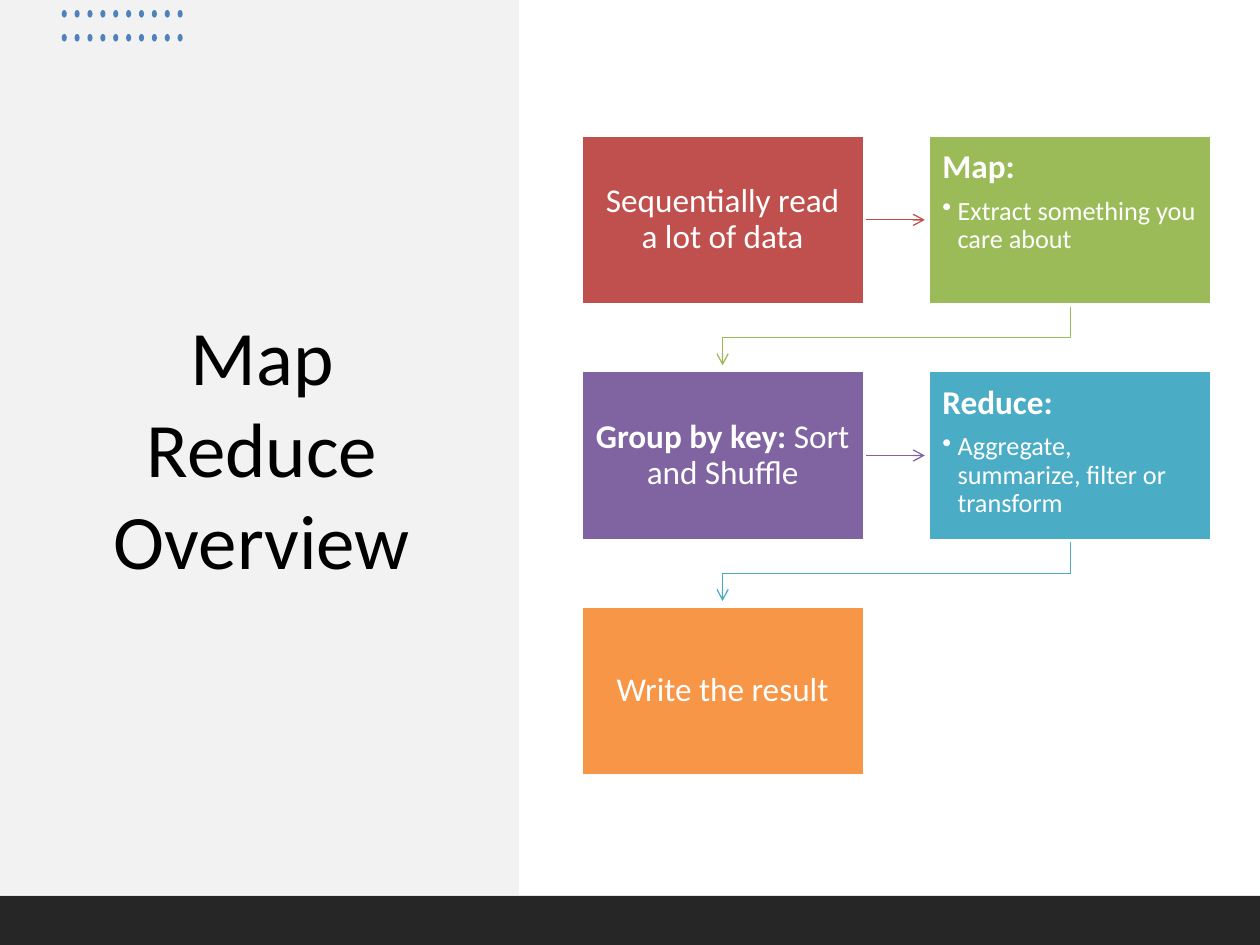
from dataclasses import dataclass

from lxml.etree import SubElement
from pptx import Presentation
from pptx.dml.color import RGBColor
from pptx.enum.shapes import MSO_CONNECTOR, MSO_SHAPE
from pptx.enum.text import MSO_ANCHOR, MSO_AUTO_SIZE, PP_ALIGN
from pptx.oxml.ns import qn
from pptx.util import Inches, Pt


@dataclass(frozen=True)
class Theme:
    """Colours, font and type sizes of the slide."""
    font: str = "Calibri"
    title_size: int = 44
    step_size: int = 19
    detail_size: int = 15
    black: str = "000000"
    white: str = "FFFFFF"
    panel: str = "F2F2F2"
    footer: str = "262626"
    dot: str = "4F81BD"
    input_step: str = "C0504D"
    map_step: str = "9BBB59"
    group_step: str = "8064A2"
    reduce_step: str = "4BACC6"
    result_step: str = "F79646"


THEME = Theme()
GRID_LEFT, GRID_TOP = 4.61, 1.07
COLUMN_STEP, ROW_STEP = 2.76, 1.87
BOX_WIDTH, BOX_HEIGHT = 2.25, 1.35


def colour(code):
    """Turn a hex code into a colour."""
    return RGBColor.from_string(code)


def style_font(font, size, code):
    """Apply the theme font with a size and colour."""
    font.name = THEME.font
    font.size = Pt(size)
    font.color.rgb = colour(code)


def add_block(page, kind, left, top, width, height, fill):
    """Add a flat, borderless preset shape."""
    block = page.shapes.add_shape(
        kind, Inches(left), Inches(top), Inches(width), Inches(height))
    block.shadow.inherit = False
    block.fill.solid()
    block.fill.fore_color.rgb = colour(fill)
    block.line.fill.background()
    return block


def add_title(page, text):
    """Place and format the title placeholder."""
    title = page.shapes.title
    title.left, title.top = Inches(0.49), Inches(1.32)
    title.width, title.height = Inches(3.18), Inches(4.45)
    frame = title.text_frame
    frame.text = text
    frame.word_wrap = True
    frame.auto_size = MSO_AUTO_SIZE.NONE
    frame.vertical_anchor = MSO_ANCHOR.MIDDLE
    para = frame.paragraphs[0]
    para.alignment = PP_ALIGN.CENTER
    style_font(para.font, THEME.title_size, THEME.black)
    return title


def add_dots(page):
    """Draw two rows of ten small dots."""
    pitch = 0.92 / 9
    for column in range(10):
        for top in (0.08, 0.27):
            add_block(page, MSO_SHAPE.OVAL, 0.49 + column * pitch, top,
                      0.04, 0.06, THEME.dot)


def cell_origin(column, row):
    """Return the left and top of a box in the flow grid."""
    return GRID_LEFT + column * COLUMN_STEP, GRID_TOP + row * ROW_STEP


def add_step(page, column, row, fill, heading, rest="", detail=""):
    """Add a step box with a heading and an optional bulleted detail."""
    box = add_block(page, MSO_SHAPE.RECTANGLE, *cell_origin(column, row),
                    BOX_WIDTH, BOX_HEIGHT, fill)
    box.line.color.rgb = colour(THEME.white)
    box.line.width = Pt(2)
    frame = box.text_frame
    frame.word_wrap = True
    frame.margin_left = frame.margin_right = Inches(0.11)
    frame.margin_top = frame.margin_bottom = Inches(0.12)
    frame.vertical_anchor = MSO_ANCHOR.TOP if detail else MSO_ANCHOR.MIDDLE
    para = frame.paragraphs[0]
    para.alignment = PP_ALIGN.LEFT if detail else PP_ALIGN.CENTER
    para.line_spacing = 0.9
    style_font(para.font, THEME.step_size, THEME.white)
    span = para.add_run()
    span.text = heading
    span.font.bold = bool(rest or detail)
    if rest:
        para.add_run().text = rest
    if detail:
        para.space_after = Pt(6.65)
        add_bullet(frame, detail)


def add_bullet(frame, text):
    """Append a bulleted paragraph to a step box."""
    para = frame.add_paragraph()
    para.text = text
    para.level = 1
    para.alignment = PP_ALIGN.LEFT
    para.line_spacing = 0.9
    properties = para._p.get_or_add_pPr()
    properties.set("marL", str(Inches(0.12)))
    properties.set("indent", str(-Inches(0.12)))
    SubElement(properties, qn("a:buChar"), char="•")
    style_font(para.font, THEME.detail_size, THEME.white)


def style_arrow(arrow, code):
    """Give a line its colour, weight and open arrowhead."""
    arrow.line.color.rgb = colour(code)
    arrow.line.width = Pt(0.75)
    SubElement(arrow.line._get_or_add_ln(), qn("a:tailEnd"), type="arrow")


def add_across_arrow(page, row, code):
    """Point from the left box of a row to the right one."""
    left, top = cell_origin(0, row)
    start, middle = left + BOX_WIDTH, top + BOX_HEIGHT / 2
    arrow = page.shapes.add_connector(
        MSO_CONNECTOR.STRAIGHT, Inches(start), Inches(middle),
        Inches(start + 0.48), Inches(middle))
    style_arrow(arrow, code)
    SubElement(arrow._element.spPr, qn("a:effectLst"))


def add_return_arrow(page, row, code):
    """Lead from the right box of a row to the left box below."""
    left, top = cell_origin(0, row)
    target = left + BOX_WIDTH / 2
    source, bottom = target + COLUMN_STEP, top + BOX_HEIGHT
    points = [(source, bottom + 0.26), (target, bottom + 0.26),
              (target, bottom + 0.48)]
    builder = page.shapes.build_freeform(Inches(source), Inches(bottom))
    builder.add_line_segments(
        [(Inches(x), Inches(y)) for x, y in points], close=False)
    arrow = builder.convert_to_shape()
    arrow.shadow.inherit = False
    arrow.fill.background()
    style_arrow(arrow, code)


def main():
    """Build the slide and save the deck."""
    deck = Presentation()
    deck.slide_width, deck.slide_height = Inches(10), Inches(7.5)
    page = deck.slides.add_slide(deck.slide_layouts[5])
    title = add_title(page, "Map Reduce Overview")
    panel = add_block(page, MSO_SHAPE.RECTANGLE, 0, 0, 4.12, 7.1, THEME.panel)
    title._element.addprevious(panel._element)
    add_dots(page)
    add_block(page, MSO_SHAPE.RECTANGLE, 0, 7.11, 10, 0.39, THEME.footer)
    for row, code in enumerate((THEME.input_step, THEME.group_step)):
        add_across_arrow(page, row, code)
    for row, code in enumerate((THEME.map_step, THEME.reduce_step)):
        add_return_arrow(page, row, code)
    add_step(page, 0, 0, THEME.input_step, "Sequentially read a lot of data")
    add_step(page, 1, 0, THEME.map_step, "Map:",
             detail="Extract something you care about")
    add_step(page, 0, 1, THEME.group_step, "Group by key:",
             rest=" Sort and Shuffle")
    add_step(page, 1, 1, THEME.reduce_step, "Reduce:",
             detail="Aggregate, summarize, filter or transform")
    add_step(page, 0, 2, THEME.result_step, "Write the result")
    deck.save("out.pptx")


if __name__ == "__main__":
    main()
